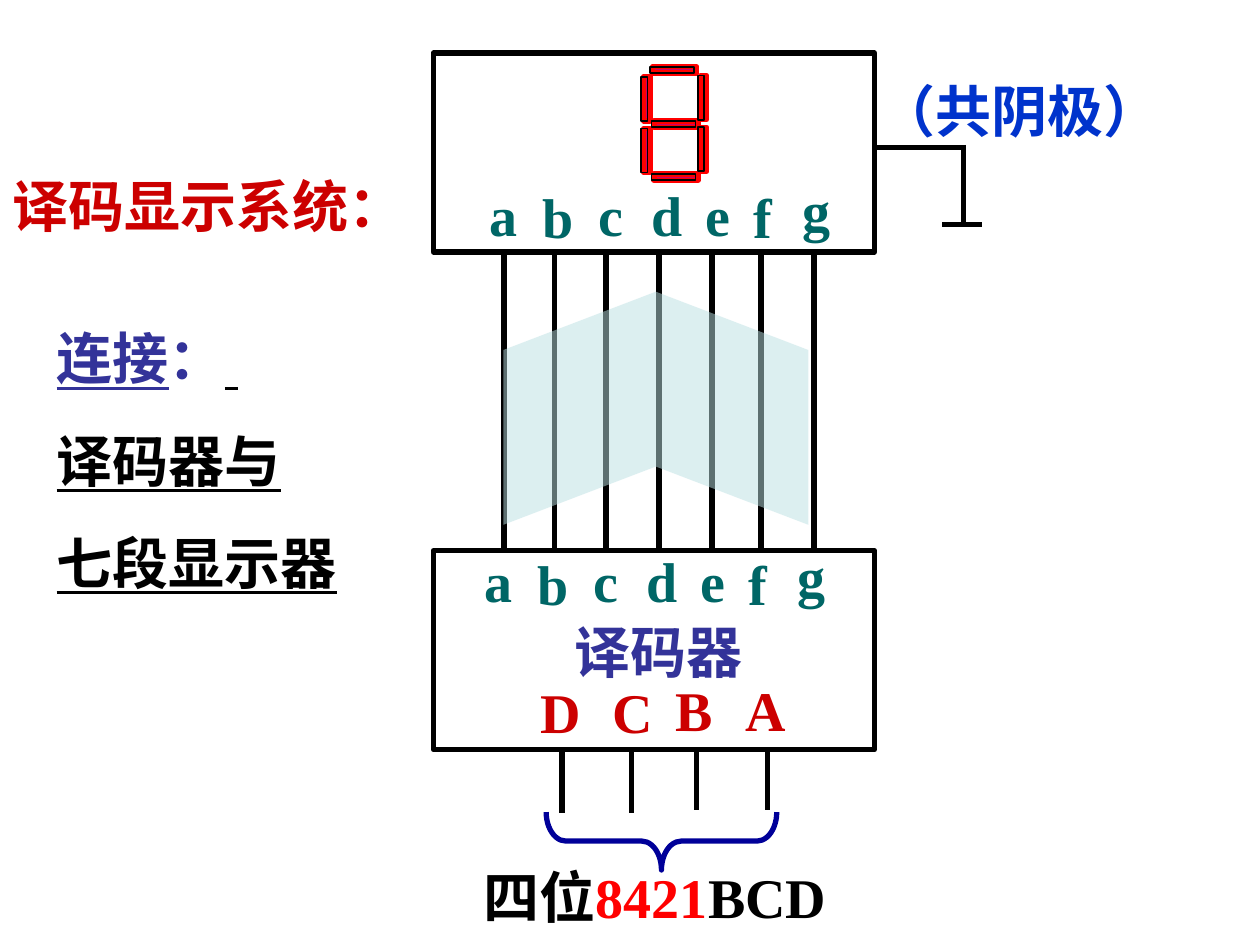
import pptx
import pptx.util
import pptx.dml.color
import pptx.enum.shapes
import pptx.enum.text
import pptx.oxml.ns
import lxml.etree

Inches = pptx.util.Inches
Pt = pptx.util.Pt
SHAPES = pptx.enum.shapes.MSO_SHAPE
ALIGN = pptx.enum.text.PP_ALIGN

BLACK, RED, NAVY = "000000", "CC0000", "333399"
TEAL = "006666"
CHIP_WIDTH, CHIP_HEIGHT = 3.5, 1.58
LINE_HEIGHT = 0.64


def rgb(colour):
    """Return the colour object of a hex string."""
    return pptx.dml.color.RGBColor.from_string(colour)


def place(part, left, top, width, height):
    """Move a part to a box given in inches."""
    part.left, part.top = Inches(left), Inches(top)
    part.width, part.height = Inches(width), Inches(height)


def write(box, paragraphs, align=ALIGN.LEFT):
    """Fill a box with paragraphs of (text, colour, underline) runs."""
    frame = box.text_frame
    frame.word_wrap = True
    frame.auto_size = pptx.enum.text.MSO_AUTO_SIZE.NONE
    frame.vertical_anchor = pptx.enum.text.MSO_ANCHOR.TOP
    for index, runs in enumerate(paragraphs):
        paragraph = frame.paragraphs[0] if index == 0 else frame.add_paragraph()
        properties = paragraph._p.get_or_add_pPr()
        properties.set("marL", "0")
        properties.set("indent", "0")
        lxml.etree.SubElement(properties, pptx.oxml.ns.qn("a:buNone"))
        paragraph.alignment = align
        paragraph.space_before = Pt(20 if index else 0)
        for text, colour, underline in runs:
            run = paragraph.add_run()
            run.text = text
            run.font.name = "Times New Roman"
            run.font.size = Pt(32)
            run.font.bold = True
            run.font.underline = underline
            run.font.color.rgb = rgb(colour)


def label(slide, left, top, width, runs, align=ALIGN.LEFT):
    """Add a one-line label."""
    box = slide.shapes.add_textbox(
        Inches(left), Inches(top), Inches(width), Inches(LINE_HEIGHT))
    write(box, [runs], align)


def shape(slide, kind, box, fill=None, line=None, weight=3, rotation=0):
    """Add a preset shape with an optional fill and outline."""
    part = slide.shapes.add_shape(kind, *map(Inches, box))
    part.shadow.inherit = False
    part.rotation = rotation
    if fill:
        part.fill.solid()
        part.fill.fore_color.rgb = rgb(fill)
    else:
        part.fill.background()
    if line:
        part.line.color.rgb = rgb(line)
        part.line.width = Pt(weight)
    else:
        part.line.fill.background()
    return part


def wire(slide, x1, y1, x2, y2):
    """Add a straight black wire."""
    part = slide.shapes.add_connector(
        pptx.enum.shapes.MSO_CONNECTOR.STRAIGHT,
        Inches(x1), Inches(y1), Inches(x2), Inches(y2))
    part.line.color.rgb = rgb(BLACK)
    part.line.width = Pt(3)
    lxml.etree.SubElement(part._element.spPr, pptx.oxml.ns.qn("a:effectLst"))


def headings(slide):
    """Fill the title and body placeholders and add the cathode note."""
    title, body = slide.placeholders[0], slide.placeholders[1]
    place(title, 0, 1.31, 3.4, LINE_HEIGHT)
    write(title, [[("译码显示系统：", RED, False)]])
    place(body, 0.35, 2.52, 2.56, 2.26)
    write(body, [
        [("连接", NAVY, True), ("：", NAVY, False), (" ", BLACK, True)],
        [("译码器与", BLACK, True)],
        [("七段显示器", BLACK, True)],
    ])
    label(slide, 6.88, 0.56, 2.69, [("（共阴极）", "0033CC", False)])


def chip(slide, left, top):
    """Draw the outline of a chip."""
    shape(slide, SHAPES.RECTANGLE, (left, top, CHIP_WIDTH, CHIP_HEIGHT), line=BLACK)


def segment_pins(slide, left, top):
    """Label the seven segment pins a to g."""
    offsets = [(0, 0.04), (0.42, 0.06), (0.86, 0.04), (1.28, 0.04),
               (1.71, 0.04), (2.09, 0.06), (2.48, 0)]
    for name, (dx, dy) in zip("abcdefg", offsets):
        label(slide, left + dx, top + dy, 0.46, [(name, TEAL, False)])


def digit(slide, left, top, **style):
    """Draw the seven bars of a digit."""
    uprights = [(0, 0.23), (0, 0.64), (0.45, 0.22), (0.45, 0.63)]
    crossbars = [(0.22, 0), (0.23, 0.43), (0.23, 0.85)]
    for bars, rotation in ((uprights, 0), (crossbars, 270)):
        for dx, dy in bars:
            shape(slide, SHAPES.RECTANGLE, (left + dx, top + dy, 0.05, 0.35),
                  rotation=rotation, **style)


def display(slide, left, top):
    """Draw the seven-segment display with its ground lead."""
    digit(slide, left + 1.67, top - 0.04, fill="CC0066", line="FF0000")
    chip(slide, left, top)
    segment_pins(slide, left + 0.35, top + 0.92)
    digit(slide, left + 1.65, top - 0.04, line=BLACK, weight=1)
    right, lead, ground = left + CHIP_WIDTH, top + 0.75, top + 1.36
    wire(slide, right, lead, right + 0.73, lead)
    wire(slide, right + 0.71, lead - 0.02, right + 0.71, ground)
    wire(slide, right + 0.54, ground, right + 0.85, ground)


def decoder(slide, left, top):
    """Draw the decoder with its inputs, brace and code caption."""
    chip(slide, left, top)
    segment_pins(slide, left + 0.31, top - 0.12)
    label(slide, left + 0.87, top + 0.48, 1.83,
          [("译码器", NAVY, False)], ALIGN.CENTER)
    inputs = [("D", 0.75, 1.02, 0.02), ("C", 1.32, 1.57, 0.02),
              ("B", 1.82, 2.09, 0), ("A", 2.38, 2.65, 0)]
    for name, text_x, wire_x, dy in inputs:
        label(slide, left + text_x, top + 0.94 + dy, 0.48, [(name, RED, False)])
        start = top + 1.56 + dy
        wire(slide, left + wire_x, start, left + wire_x, start + 0.5)
    brace = shape(slide, SHAPES.LEFT_BRACE, (left + 1.58, top + 1.39, 0.46, 1.83),
                  line="000099", rotation=270)
    brace.adjustments[0] = 0.34
    label(slide, left + 0.04, top + 2.43, 3.44,
          [("四位", BLACK, False), ("8421", "FF0000", False), ("BCD", BLACK, False)],
          ALIGN.CENTER)


def bus(slide, left, top, bottom):
    """Draw the seven wires and the upward arrow over them."""
    wires = [(0.56, 0.02), (0.96, 0), (1.37, 0), (1.79, 0),
             (2.21, 0.02), (2.6, 0), (3.02, 0)]
    for dx, dy in wires:
        wire(slide, left + dx, top + dy, left + dx, bottom + dy)
    arrow = shape(slide, SHAPES.CHEVRON, (left + 0.84, top + 0.03, 1.85, 2.42),
                  fill="BBE0E3", rotation=270)
    arrow.adjustments[0] = 0.25
    colour = arrow._element.spPr.find(".//" + pptx.oxml.ns.qn("a:srgbClr"))
    lxml.etree.SubElement(colour, pptx.oxml.ns.qn("a:alpha"), val="50000")


def main():
    """Build and save the slide."""
    deck = pptx.Presentation()
    deck.slide_width, deck.slide_height = Inches(10), Inches(7.5)
    slide = deck.slides.add_slide(deck.slide_layouts[1])
    left, display_top, decoder_top = 3.44, 0.42, 4.37
    headings(slide)
    decoder(slide, left, decoder_top)
    display(slide, left, display_top)
    bus(slide, left, display_top + CHIP_HEIGHT, decoder_top)
    deck.save("out.pptx")


if __name__ == "__main__":
    main()
